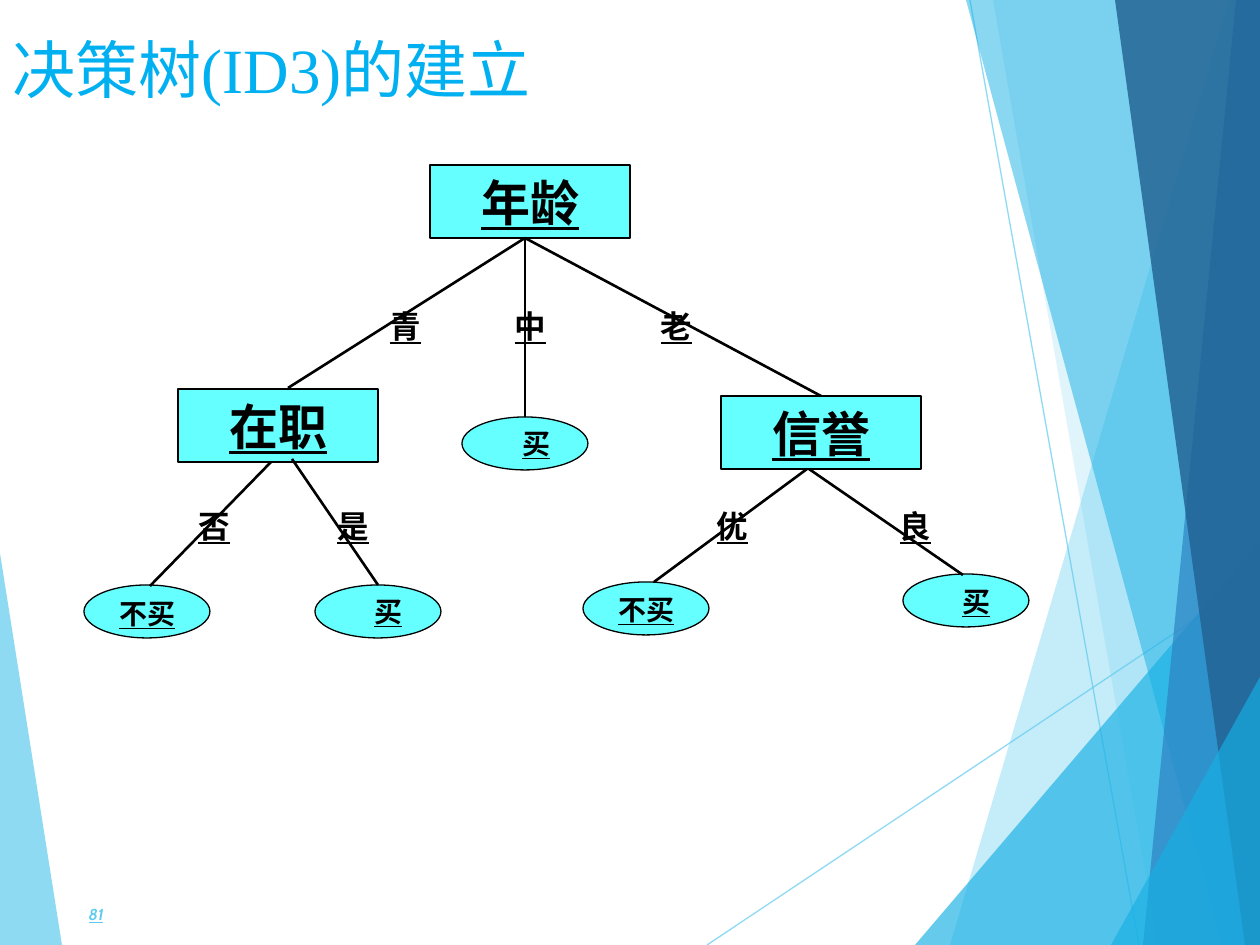
"""Build the slide with the ID3 decision tree for buyers."""
from lxml.etree import SubElement
from pptx import Presentation
from pptx.dml.color import RGBColor
from pptx.enum.shapes import MSO_CONNECTOR, MSO_SHAPE
from pptx.enum.text import MSO_ANCHOR, PP_ALIGN
from pptx.oxml.ns import qn
from pptx.util import Emu, Pt

SCALE = 914400 / 126
COLORS = {
    "black": "000000", "node": "66FFFF", "title": "00B0F0", "sky": "5FCBEF",
    "cyan": "17B0E4", "blue": "2E83C3", "navy": "226292",
}


def px(*lengths):
    return [Emu(round(length * SCALE)) for length in lengths]


def write(box, text, size=18, font="Times New Roman", color="black", bold=True, italic=False,
          underline=True, align=PP_ALIGN.CENTER, anchor=MSO_ANCHOR.MIDDLE, wrap=False,
          indent=13, tabs=()):
    frame = box.text_frame
    frame.word_wrap = wrap
    frame.vertical_anchor = anchor
    frame.margin_left = px(indent)[0]
    para = frame.paragraphs[0]
    para.alignment = align
    if tabs:
        stops = SubElement(para._p.get_or_add_pPr(), qn("a:tabLst"))
        for position in px(*tabs):
            SubElement(stops, qn("a:tab"), pos=str(position), algn="l")
    span = para.add_run()
    span.text = text
    span.font.size = Pt(size)
    span.font.name = font
    span.font.bold, span.font.italic, span.font.underline = bold, italic, underline
    span.font.color.rgb = RGBColor.from_string(COLORS[color])


deck = Presentation()
deck.slide_width, deck.slide_height = px(1260, 945)
page = deck.slides.add_slide(deck.slide_layouts[6])
shapes = page.shapes

for ends in [(707, 945, 1260, 576), (970, 0, 1139, 945)]:
    ray = shapes.add_connector(MSO_CONNECTOR.STRAIGHT, *px(*ends))
    ray.line.width = Pt(0.75)
    ray.line.color.rgb = RGBColor.from_string(COLORS["sky"])
    tint = ray.line._ln.find(".//" + qn("a:srgbClr"))
    SubElement(tint, qn("a:alpha"), val="70000")
    SubElement(ray._element.spPr, qn("a:effectLst"))

facets = [
    ("sky", 70, [(0, 553), (62, 945), (0, 945)]),
    ("sky", 36, [(1229, 0), (950, 945), (1260, 945), (1260, 0)]),
    ("sky", 20, [(993, 0), (1158, 945), (1260, 945), (1260, 0)]),
    ("cyan", 66, [(915, 945), (1260, 541), (1260, 945)]),
    ("cyan", 50, [(966, 0), (1222, 945), (1260, 945), (1260, 0)]),
    ("blue", 70, [(1236, 0), (1143, 945), (1260, 945), (1260, 0)]),
    ("navy", 82, [(1115, 0), (1245, 945), (1260, 945), (1260, 0)]),
    ("cyan", 66, [(1111, 945), (1260, 677), (1260, 945)]),
]
for color, opacity, corners in facets:
    builder = shapes.build_freeform(*corners[0], scale=SCALE)
    builder.add_line_segments(corners[1:], close=True)
    facet = builder.convert_to_shape()
    facet.shadow.inherit = False
    facet.line.fill.background()
    facet.fill.solid()
    facet.fill.fore_color.rgb = RGBColor.from_string(COLORS[color])
    tint = facet._element.spPr.find(".//" + qn("a:srgbClr"))
    SubElement(tint, qn("a:alpha"), val=str(opacity * 1000))

title = shapes.add_textbox(*px(0, 24, 1084, 67))
write(title, "决策树(ID3)的建立", size=36, color="title", bold=False, underline=False,
      align=PP_ALIGN.LEFT, anchor=MSO_ANCHOR.TOP, wrap=True)
number = shapes.add_textbox(*px(0, 896, 116, 37))
write(number, "81", size=9, font="Cabin", color="sky", italic=True,
      align=PP_ALIGN.RIGHT, wrap=True)

nodes = {}
for name, kind, left, top, width, height in [
    ("age", MSO_SHAPE.RECTANGLE, 430, 165, 200, 73),
    ("job", MSO_SHAPE.RECTANGLE, 178, 389, 200, 73),
    ("credit", MSO_SHAPE.RECTANGLE, 721, 396, 200, 73),
    ("middle", MSO_SHAPE.OVAL, 462, 417, 126, 53),
    ("unemployed", MSO_SHAPE.OVAL, 84, 585, 126, 53),
    ("employed", MSO_SHAPE.OVAL, 315, 585, 126, 53),
    ("excellent", MSO_SHAPE.OVAL, 583, 582, 126, 53),
    ("good", MSO_SHAPE.OVAL, 903, 574, 126, 53),
]:
    node = shapes.add_shape(kind, *px(left, top, width, height))
    node.shadow.inherit = False
    node.fill.solid()
    node.fill.fore_color.rgb = RGBColor.from_string(COLORS["node"])
    node.line.color.rgb = RGBColor.from_string(COLORS["black"])
    node.line.width = Pt(0.75)
    nodes[name] = node

for name, text in [("age", "年龄"), ("job", "在职"), ("credit", "信誉")]:
    write(nodes[name], text, size=28)

for ends, target in [
    ((525, 238, 288, 388), None),
    ((525, 238, 525, 417), "middle"),
    ((525, 238, 821, 396), "credit"),
    ((271, 462, 150, 586), None),
    ((292, 459, 378, 585), "employed"),
    ((807, 469, 654, 582), None),
    ((809, 469, 963, 575), None),
]:
    branch = shapes.add_connector(MSO_CONNECTOR.STRAIGHT, *px(*ends))
    branch.line.width = Pt(1.5)
    branch.line.color.rgb = RGBColor.from_string(COLORS["black"])
    SubElement(branch._element.spPr, qn("a:effectLst"))
    if target:
        branch.end_connect(nodes[target], 0)

for text, left, top in [
    ("买", 494, 420), ("不买", 105, 590), ("买", 346, 588), ("不买", 604, 586), ("买", 934, 578),
]:
    write(shapes.add_textbox(*px(left, top, 84, 46)), text, size=16)

for text, left, top, width, indent, tabs in [
    ("青\t中\t老", 295, 301, 494, 95, (125, 271)),
    ("否\t是", 137, 501, 294, 61, (139,)),
    ("优\t良", 651, 501, 347, 66, (183,)),
]:
    label = shapes.add_textbox(*px(left, top, width, 50))
    write(label, text, align=PP_ALIGN.LEFT, wrap=True, indent=indent, tabs=tabs)

deck.save("out.pptx")
